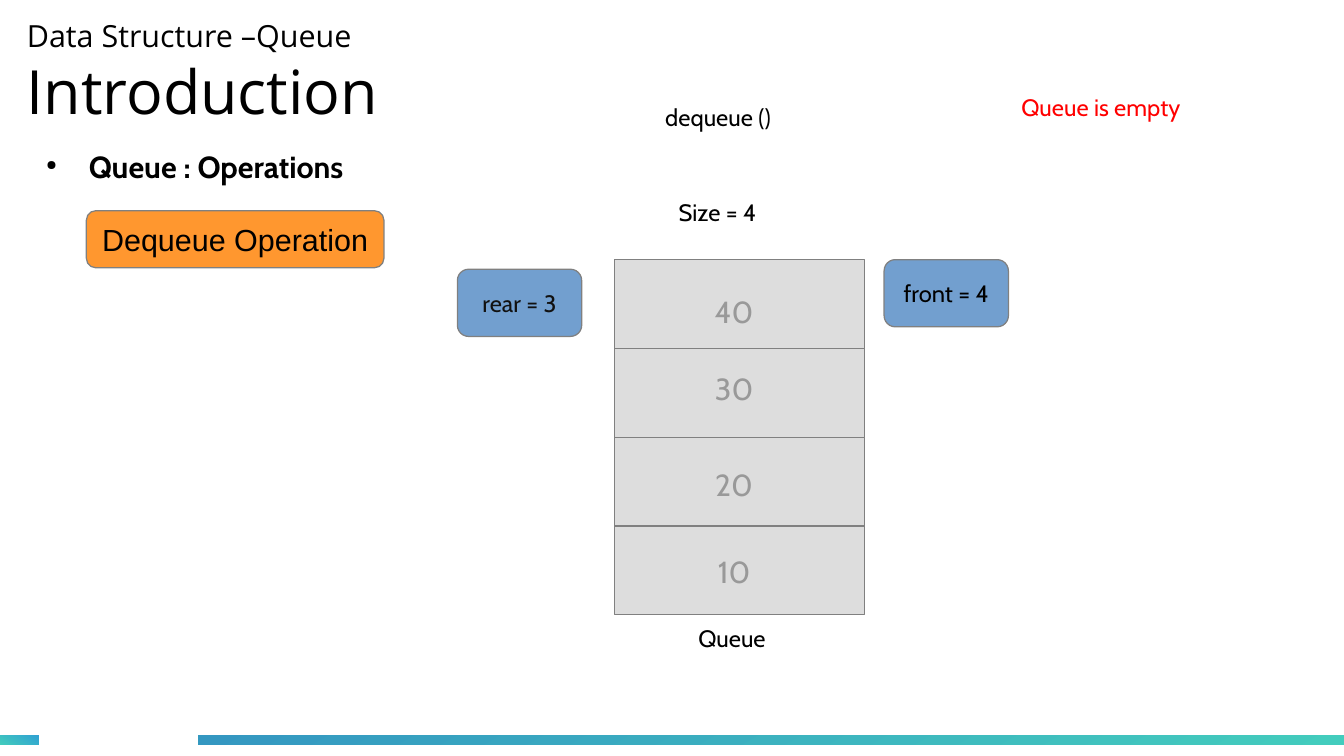
from dataclasses import dataclass

import pptx
import pptx.dml.color
import pptx.enum.shapes
import pptx.enum.text
import pptx.oxml
import pptx.oxml.ns
import pptx.util
from pptx.util import Cm

SHAPES = pptx.enum.shapes.MSO_SHAPE
ALIGN = pptx.enum.text.PP_ALIGN
ANCHOR = pptx.enum.text.MSO_ANCHOR


@dataclass(frozen=True)
class Theme:
    heading_font: str = "Open Sans"
    body_font: str = "Cabin"
    badge_font: str = "Arial"
    black: str = "000000"
    near_black: str = "111111"
    red: str = "FF0000"
    faded: str = "999999"
    outline: str = "808080"
    cell: str = "DDDDDD"
    orange: str = "FF972F"
    blue: str = "729FCF"
    teal: str = "43CCBD"
    bar_short: str = "30A2D2"
    bar_long: str = "3497C1"
    title_size: int = 36
    text_size: int = 18
    label_size: int = 14


THEME = Theme()


@dataclass(frozen=True)
class Frame:
    left: float
    top: float
    width: float
    height: float

    def lengths(self) -> tuple:
        return Cm(self.left), Cm(self.top), Cm(self.width), Cm(self.height)


@dataclass(frozen=True)
class Label:
    text: str
    frame: Frame
    color: str = THEME.black


@dataclass(frozen=True)
class Block:
    frame: Frame
    fill: str
    text: str = ""
    color: str = THEME.black
    size: int = THEME.label_size
    font: str = THEME.body_font
    rounded: bool = False
    outlined: bool = True


@dataclass(frozen=True)
class Bar:
    frame: Frame
    end_color: str
    flips: tuple


BARS = [
    Bar(Frame(0, 15.32, 0.81, 0.2), THEME.bar_short, ("flipV",)),
    Bar(Frame(4.14, 15.32, 23.86, 0.2), THEME.bar_long, ("flipH", "flipV")),
]

LABELS = [
    Label("Queue", Frame(14.3, 12.88, 2.13, 0.91)),
    Label("Size = 4", Frame(13.89, 3.99, 3.18, 0.91)),
    Label("dequeue ()", Frame(13.61, 2.01, 2.9, 0.91)),
    Label("Queue is empty", Frame(21.03, 1.8, 5.18, 0.99), THEME.red),
]

CELL_HEIGHT = 1.85
CELLS = [Block(Frame(12.8, 5.41 + row * CELL_HEIGHT, 5.21, CELL_HEIGHT), THEME.cell)
         for row in range(4)]

VALUE_TOPS = {"40": 5.79, "30": 7.39, "20": 9.4, "10": 11.2}
VALUES = [Block(Frame(14, top, 2.59, 1.4), THEME.cell, value, THEME.faded,
                THEME.text_size, outlined=False)
          for value, top in VALUE_TOPS.items()]

BADGES = [
    Block(Frame(1.8, 4.39, 6.2, 1.19), THEME.orange, "Dequeue Operation",
          size=THEME.text_size, font=THEME.badge_font, rounded=True),
    Block(Frame(18.42, 5.41, 2.59, 1.4), THEME.blue, "front = 4", rounded=True),
    Block(Frame(9.53, 5.61, 2.59, 1.4), THEME.blue, "rear = 3",
          THEME.near_black, rounded=True),
]


def rgb(color: str) -> pptx.dml.color.RGBColor:
    return pptx.dml.color.RGBColor.from_string(color)


def style(font, name: str, size: int, color: str, bold: bool = False) -> None:
    font.name = name
    font.size = pptx.util.Pt(size)
    font.color.rgb = rgb(color)
    font.bold = bold


def draw_bar(page, bar: Bar) -> None:
    shape = page.shapes.add_shape(SHAPES.RECTANGLE, *bar.frame.lengths())
    shape.shadow.inherit = False
    shape.line.fill.background()
    shape.fill.gradient()
    shape.fill.gradient_angle = 300
    for stop, color in zip(shape.fill.gradient_stops, (THEME.teal, bar.end_color)):
        stop.color.rgb = rgb(color)
    for flip in bar.flips:
        shape.element.spPr.xfrm.set(flip, "1")


def draw_block(page, block: Block) -> None:
    kind = SHAPES.ROUNDED_RECTANGLE if block.rounded else SHAPES.RECTANGLE
    shape = page.shapes.add_shape(kind, *block.frame.lengths())
    shape.shadow.inherit = False
    shape.fill.solid()
    shape.fill.fore_color.rgb = rgb(block.fill)
    if block.outlined:
        shape.line.color.rgb = rgb(THEME.outline)
        shape.line.width = pptx.util.Pt(0)
    else:
        shape.line.fill.background()
    if block.text:
        shape.text_frame.word_wrap = False
        shape.text_frame.vertical_anchor = ANCHOR.MIDDLE
        para = shape.text_frame.paragraphs[0]
        para.text = block.text
        para.alignment = ALIGN.CENTER
        style(para.font, block.font, block.size, block.color)


def add_text_box(page, frame: Frame):
    box = page.shapes.add_textbox(*frame.lengths())
    box.text_frame.word_wrap = True
    return box.text_frame


def draw_label(page, label: Label) -> None:
    para = add_text_box(page, label.frame).paragraphs[0]
    para.text = label.text
    style(para.font, THEME.body_font, THEME.label_size, label.color)


def draw_title(page) -> None:
    text = add_text_box(page, Frame(0.56, 0.2, 19.51, 2.59))
    text.margin_left = text.margin_right = text.margin_top = text.margin_bottom = 0
    text.vertical_anchor = ANCHOR.MIDDLE
    para = text.paragraphs[0]
    topic = para.add_run()
    topic.text = "Data Structure –Queue"
    para.add_line_break()
    heading = para.add_run()
    heading.text = "Introduction"
    for span, size in ((topic, THEME.text_size), (heading, THEME.title_size)):
        style(span.font, THEME.heading_font, size, THEME.black)


def draw_bullet(page) -> None:
    para = add_text_box(page, Frame(0.41, 2.95, 10.01, 1.17)).paragraphs[0]
    para.text = "Queue : Operations"
    para.space_after = pptx.util.Pt(11.4)
    properties = para._p.get_or_add_pPr()
    properties.set("marL", str(Cm(1.19)))
    properties.set("indent", str(Cm(-0.89)))
    namespace = pptx.oxml.ns.nsdecls("a")
    for element in (
        f'<a:buClr {namespace}><a:srgbClr val="{THEME.black}"/></a:buClr>',
        f'<a:buSzPct {namespace} val="45000"/>',
        f'<a:buChar {namespace} char="●"/>',
    ):
        properties.append(pptx.oxml.parse_xml(element))
    style(para.font, THEME.body_font, THEME.text_size, THEME.black, bold=True)


def main() -> None:
    deck = pptx.Presentation()
    deck.slide_width, deck.slide_height = Cm(28), Cm(15.75)
    page = deck.slides.add_slide(deck.slide_layouts[6])
    for bar in BARS:
        draw_bar(page, bar)
    draw_title(page)
    draw_bullet(page)
    for block in CELLS + VALUES + BADGES:
        draw_block(page, block)
    for label in LABELS:
        draw_label(page, label)
    deck.save("out.pptx")


if __name__ == "__main__":
    main()
